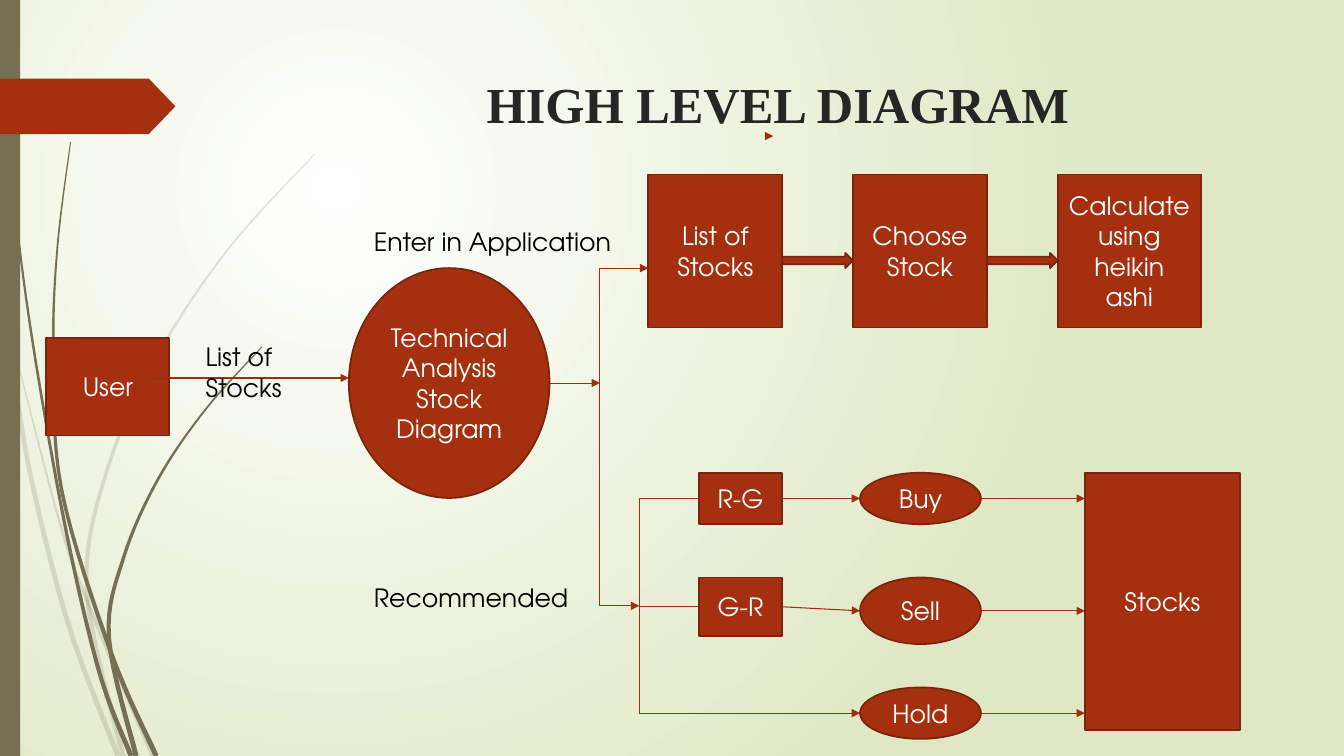
import math
from typing import NamedTuple, Optional

from pptx import Presentation
from pptx import util as u
from pptx.dml import color as dc
from pptx.enum import shapes, text
from pptx.oxml import ns, parse_xml

RUST, EDGE, ARROW, TAUPE = "A53010", "7A240C", "9E2E0F", "766F54"
SANS = "TeX Gyre Adventor"
RECT, OVAL = shapes.MSO_SHAPE.RECTANGLE, shapes.MSO_SHAPE.OVAL
BLOCK_ARROW, TAG = shapes.MSO_SHAPE.RIGHT_ARROW, shapes.MSO_SHAPE.PENTAGON
CENTER, LEFT = text.PP_ALIGN.CENTER, text.PP_ALIGN.LEFT
Point = tuple[float, float]


class Node(NamedTuple):
    kind: int
    x: float
    y: float
    w: float
    h: float
    label: str = ""

    @property
    def right(self) -> float:
        return self.x + self.w

    @property
    def mid(self) -> float:
        return self.y + self.h / 2


class Link(NamedTuple):
    x1: float
    y1: float
    x2: float
    y2: float
    head: bool = True


class Label(NamedTuple):
    x: float
    y: float
    w: float
    h: float
    label: str
    align: int = LEFT
    font: str = SANS
    size: int = 18
    color: str = "000000"
    bold: bool = False


class Stem(NamedTuple):
    """A blade of grass: knots of its centre line from tip to base, and its width there."""
    knots: list[Point]
    tip: float = 0.01
    base: float = 0.05


# Diagram: one entry splits into a row of steps and rows of advice
user = Node(RECT, 0.46, 3.35, 1.22, 0.97, "User")
app = Node(OVAL, 3.46, 2.66, 1.99, 2.28, "Technical Analysis Stock\nDiagram")
STEP_PITCH = 2.03
steps = [
    Node(RECT, 6.43 + STEP_PITCH * i, 1.73, width, 1.52, label)
    for i, (width, label) in enumerate(
        [(1.33, "List of Stocks"), (1.33, "Choose Stock"), (1.42, "Calculate using heikin ashi")])
]
step_arrows = [Node(BLOCK_ARROW, a.right, 2.51, b.x - a.right, 0.15)
               for a, b in zip(steps, steps[1:])]
red_green, green_red = signals = [
    Node(RECT, 6.93, y, 0.83, h, label) for y, h, label in [(4.69, 0.51, "R-G"), (5.73, 0.58, "G-R")]
]
buy, sell, hold = advice = [
    Node(OVAL, 8.53, y, 1.2, h, label)
    for y, h, label in [(4.69, 0.51, "Buy"), (5.73, 0.66, "Sell"), (6.82, 0.51, "Hold")]
]
stocks = Node(RECT, 10.76, 4.69, 1.54, 2.55, "Stocks")
NODES = [user, app, *steps, *signals, *advice, stocks, *step_arrows]

TRUNK_X, BRANCH_X = 5.95, 6.34
STEPS_IN_Y, ADVICE_IN_Y = 2.66, 6.01
LINKS = [
    Link(1.49, 3.75, app.x, 3.75),
    Link(7.63, 1.35, 7.67, 1.35),
    Link(app.right, app.mid, TRUNK_X, app.mid),
    *(Link(TRUNK_X, app.mid, TRUNK_X, y, False) for y in (STEPS_IN_Y, ADVICE_IN_Y)),
    Link(TRUNK_X, STEPS_IN_Y, steps[0].x, STEPS_IN_Y),
    Link(TRUNK_X, ADVICE_IN_Y, BRANCH_X, ADVICE_IN_Y),
    *(Link(BRANCH_X, ADVICE_IN_Y, BRANCH_X, y, False) for y in (red_green.mid, hold.mid)),
    *(Link(BRANCH_X, signal.mid, signal.x, signal.mid, False) for signal in signals),
    *(Link(a.right, a.mid, b.x, b.mid) for a, b in zip(signals, advice)),
    Link(BRANCH_X, hold.mid, hold.x, hold.mid),
    *(Link(a.right, a.mid, stocks.x, a.mid) for a in advice),
]
LABELS = [
    Label(2.84, 0.68, 9.75, 1.4, "HIGH LEVEL DIAGRAM", CENTER, "Times New Roman", 36, "262626", True),
    Label(1.94, 3.34, 1.22, 0.71, "List of Stocks"),
    Label(3.61, 2.2, 2.83, 0.4, "Enter in Application"),
    Label(3.61, 5.73, 2.64, 0.4, "Recommended"),
]

# Grass: each tuft has a long blade, a second blade and a bent twig
PALE_TUFT = [
    Stem([(0, 2.9), (0.1, 3.47), (0.3, 4.7), (0.68, 6.2), (1.17, 7.5)], tip=0.04),
    Stem([(0.14, 3.45), (0.6, 5.21), (0.9, 6.05), (1.52, 7.5)]),
    Stem([(3.12, 1.53), (2.28, 2.45), (1.59, 3.48), (1.08, 4.61), (0.86, 5.84), (1.22, 7.5)]),
]
DARK_TUFT = [
    Stem([(0.04, 0), (0.18, 2.33), (0.56, 4.77), (0.96, 6.58), (1.3, 7.5)]),
    Stem([(0.7, 1.41), (0.57, 2.45), (0.53, 3.49), (0.61, 4.85), (1.1, 6.47), (1.55, 7.5)]),
    Stem([(2.6, 3.44), (2.04, 4.06), (1.57, 4.75), (1.23, 5.52), (1.08, 6.32), (1.35, 7.5)]),
]


def rgb(value: str) -> dc.RGBColor:
    return dc.RGBColor.from_string(value)


def paint(sp, fill: str, edge: Optional[str] = None) -> None:
    sp.shadow.inherit = False
    sp.fill.solid()
    sp.fill.fore_color.rgb = rgb(fill)
    if edge:
        sp.line.color.rgb = rgb(edge)
        sp.line.width = u.Pt(1.25)
    else:
        sp.line.fill.background()


def write(tf, label: str, align: int, font: str, size: int, color: str, bold: bool = False) -> None:
    tf.word_wrap = True
    tf.text = label
    for p in tf.paragraphs:
        p.alignment = align
        for r in p.runs:
            for key, value in {"name": font, "size": u.Pt(size), "bold": bold}.items():
                setattr(r.font, key, value)
            r.font.color.rgb = rgb(color)


def smooth(knots: list[Point], cuts: int = 8) -> list[Point]:
    """Points along a Catmull-Rom curve through the knots."""
    padded = [knots[0], *knots, knots[-1]]
    curve = []
    for quad in zip(padded, padded[1:], padded[2:], padded[3:]):
        for t in (i / cuts for i in range(cuts)):
            curve.append(tuple(
                b + t * (c - a) / 2 + t**2 * (a - 2.5 * b + 2 * c - d / 2)
                + t**3 * (3 * b - a - 3 * c + d) / 2
                for a, b, c, d in zip(*quad)))
    return [*curve, knots[-1]]


def add_stem(parent, stem: Stem, alpha: int) -> None:
    """Thicken the centre line to both sides, from tip width to base width."""
    curve = smooth(stem.knots)
    last = len(curve) - 1
    near, far = [], []
    for i, (x, y) in enumerate(curve):
        (x1, y1), (x2, y2) = curve[max(i - 1, 0)], curve[min(i + 1, last)]
        half = (stem.tip + (stem.base - stem.tip) * i / last) / 2
        scale = half / math.hypot(x2 - x1, y2 - y1)
        dx, dy = (y1 - y2) * scale, (x2 - x1) * scale
        near.append((u.Inches(x + dx), u.Inches(y + dy)))
        far.append((u.Inches(x - dx), u.Inches(y - dy)))
    builder = parent.build_freeform(*near[0], scale=1.0)
    builder.add_line_segments(near[1:] + far[::-1], close=True)
    sp = builder.convert_to_shape()
    paint(sp, TAUPE)
    clr = sp._element.spPr.find(".//" + ns.qn("a:srgbClr"))
    clr.append(parse_xml(f'<a:alpha {ns.nsdecls("a")} val="{alpha * 1000}"/>'))


def add_node(s, node: Node, fill: str = RUST, edge: Optional[str] = EDGE):
    sp = s.shapes.add_shape(node.kind, *map(u.Inches, node[1:5]))
    paint(sp, fill, edge)
    if node.label:
        sp.text_frame.vertical_anchor = text.MSO_ANCHOR.MIDDLE
        write(sp.text_frame, node.label, CENTER, SANS, 18, "FFFFFF")
    return sp


def add_link(s, link: Link) -> None:
    sp = s.shapes.add_connector(shapes.MSO_CONNECTOR.STRAIGHT, *map(u.Inches, link[:4]))
    sp.line.color.rgb = rgb(ARROW)
    sp.line.width = u.Pt(0.75)
    if link.head:
        sp.line._ln.append(parse_xml(f'<a:tailEnd {ns.nsdecls("a")} type="triangle"/>'))
    sp._element.spPr.append(parse_xml(f'<a:effectLst {ns.nsdecls("a")}/>'))


def add_label(s, label: Label) -> None:
    sp = s.shapes.add_textbox(*map(u.Inches, label[:4]))
    write(sp.text_frame, *label[4:])


def set_background(s) -> None:
    """Radial glow from white, centred in the upper left quarter."""
    fill = s.background.fill
    fill.gradient()
    for stop, value in zip(fill.gradient_stops, ("FFFFFF", "DFE8C4")):
        stop.color.rgb = rgb(value)
    grad = s._element.find(".//" + ns.qn("a:gradFill"))
    grad.replace(grad.find(ns.qn("a:lin")), parse_xml(
        f'<a:path {ns.nsdecls("a")} path="circle">'
        '<a:fillToRect l="50000" t="50000" r="100000" b="100000"/></a:path>'))


def main() -> None:
    prs = Presentation()
    prs.slide_width, prs.slide_height = u.Inches(13.33), u.Inches(7.5)
    s = prs.slides.add_slide(prs.slide_layouts[6])
    set_background(s)
    for tuft, alpha in ((PALE_TUFT, 20), (DARK_TUFT, 100)):
        group = s.shapes.add_group_shape()
        for stem in tuft:
            add_stem(group.shapes, stem, alpha)
    add_node(s, Node(RECT, 0, 0, 0.2, 7.5), TAUPE, None)
    tag = add_node(s, Node(TAG, 0, 0.78, 1.74, 0.55), RUST, None)
    tag.adjustments[0] = 0.48
    for items, draw in ((NODES, add_node), (LINKS, add_link), (LABELS, add_label)):
        for item in items:
            draw(s, item)
    prs.save("out.pptx")


if __name__ == "__main__":
    main()
